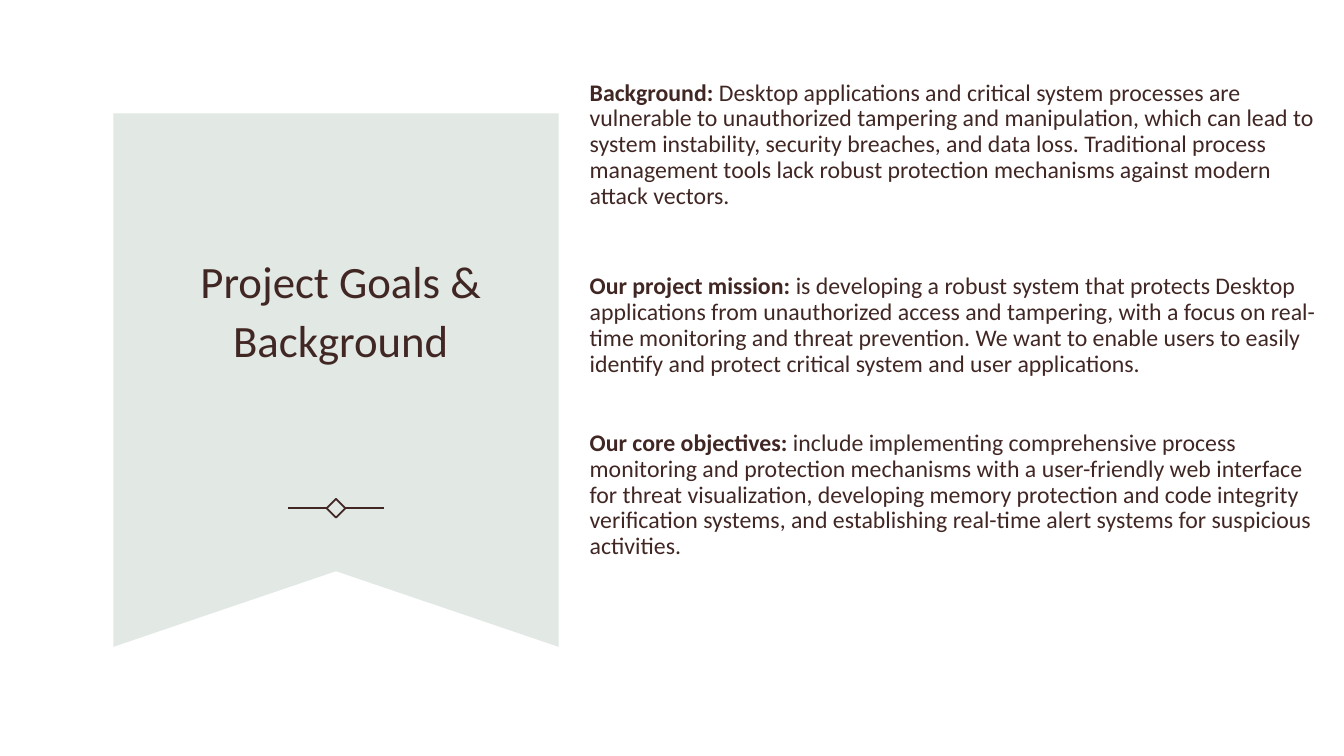
from dataclasses import dataclass

from lxml import etree
from pptx import Presentation
from pptx.dml import color
from pptx.enum import shapes, text
from pptx.oxml import ns
from pptx.util import Pt


@dataclass(frozen=True)
class Theme:
    font: str = "Calibri"
    ink: color.RGBColor = color.RGBColor(0x41, 0x27, 0x24)
    sage: color.RGBColor = color.RGBColor(0xE2, 0xE8, 0xE4)
    paper: color.RGBColor = color.RGBColor(0xFF, 0xFF, 0xFF)
    title_size: float = 32
    body_size: float = 17
    rule_width: float = 1.25


@dataclass(frozen=True)
class Statement:
    label: str
    detail: str
    space_before: float


@dataclass(frozen=True)
class Box:
    left: float
    top: float
    width: float
    height: float


THEME = Theme()
TITLE_BOX = Box(111, 106.5, 265, 226)
BODY_BOX = Box(414, 54, 540, 432)
RIBBON = [(81, 81), (399, 81), (399, 462), (240, 408), (81, 462)]
ORNAMENT_X, ORNAMENT_Y = 240, 363
DIAMOND_SIDE, RULE_GAP, RULE_LENGTH = 9.5, 6.5, 28

STATEMENTS = [
    Statement(
        "Background:",
        " Desktop applications and critical system processes are vulnerable to "
        "unauthorized tampering and manipulation, which can lead to system "
        "instability, security breaches, and data loss. Traditional process "
        "management tools lack robust protection mechanisms against modern "
        "attack vectors.",
        10,
    ),
    Statement(
        "Our project mission:",
        " is developing a robust system that protects Desktop applications from "
        "unauthorized access and tampering, with a focus on real-time monitoring "
        "and threat prevention. We want to enable users to easily identify and "
        "protect critical system and user applications.",
        46.5,
    ),
    Statement(
        "Our core objectives:",
        " include implementing comprehensive process monitoring and protection "
        "mechanisms with a user-friendly web interface for threat visualization, "
        "developing memory protection and code integrity verification systems, "
        "and establishing real-time alert systems for suspicious activities.",
        38.5,
    ),
]


def place(placeholder, box: Box, anchor) -> None:
    """Position a placeholder and bring it in front of the ribbon."""
    placeholder.left, placeholder.top = Pt(box.left), Pt(box.top)
    placeholder.width, placeholder.height = Pt(box.width), Pt(box.height)
    frame = placeholder.text_frame
    frame.word_wrap = True
    frame.auto_size = text.MSO_AUTO_SIZE.NONE
    frame.vertical_anchor = anchor
    tree = placeholder.element.getparent()
    tree.append(placeholder.element)


def add_run(paragraph, words: str, size: float, bold: bool = False) -> None:
    run = paragraph.add_run()
    run.text = words
    run.font.name = THEME.font
    run.font.size = Pt(size)
    run.font.bold = bold
    run.font.color.rgb = THEME.ink


def remove_bullet(paragraph) -> None:
    properties = paragraph._p.get_or_add_pPr()
    properties.set("marL", "0")
    properties.set("indent", "0")
    etree.SubElement(properties, ns.qn("a:buNone"))


def add_statement(paragraph, statement: Statement) -> None:
    paragraph.alignment = text.PP_ALIGN.LEFT
    paragraph.line_spacing = 0.9
    paragraph.space_before = Pt(statement.space_before)
    remove_bullet(paragraph)
    add_run(paragraph, statement.label, THEME.body_size, bold=True)
    add_run(paragraph, statement.detail, THEME.body_size)


def draw_ribbon(slide) -> None:
    start, *others = [(Pt(x), Pt(y)) for x, y in RIBBON]
    outline = slide.shapes.build_freeform(*start)
    outline.add_line_segments(others, close=True)
    ribbon = outline.convert_to_shape()
    ribbon.shadow.inherit = False
    ribbon.fill.solid()
    ribbon.fill.fore_color.rgb = THEME.sage
    ribbon.line.fill.background()


def draw_ornament(slide) -> None:
    # Diamond
    half = DIAMOND_SIDE / 2
    diamond = slide.shapes.add_shape(
        shapes.MSO_SHAPE.RECTANGLE,
        Pt(ORNAMENT_X - half), Pt(ORNAMENT_Y - half),
        Pt(DIAMOND_SIDE), Pt(DIAMOND_SIDE),
    )
    diamond.rotation = 45
    diamond.shadow.inherit = False
    diamond.fill.background()
    strokes = [diamond]
    # Rules on either side
    for side in (-1, 1):
        inner = ORNAMENT_X + side * RULE_GAP
        rule = slide.shapes.add_connector(
            shapes.MSO_CONNECTOR.STRAIGHT,
            Pt(inner), Pt(ORNAMENT_Y),
            Pt(inner + side * RULE_LENGTH), Pt(ORNAMENT_Y),
        )
        etree.SubElement(rule.element.spPr, ns.qn("a:effectLst"))
        strokes.append(rule)
    for stroke in strokes:
        stroke.line.color.rgb = THEME.ink
        stroke.line.width = Pt(THEME.rule_width)


def main() -> None:
    deck = Presentation()
    deck.slide_width, deck.slide_height = Pt(960), Pt(540)
    slide = deck.slides.add_slide(deck.slide_layouts[1])
    slide.background.fill.solid()
    slide.background.fill.fore_color.rgb = THEME.paper

    # Ribbon with its ornament
    draw_ribbon(slide)
    draw_ornament(slide)

    # Title
    heading = slide.shapes.title
    place(heading, TITLE_BOX, text.MSO_ANCHOR.MIDDLE)
    heading_line = heading.text_frame.paragraphs[0]
    heading_line.alignment = text.PP_ALIGN.CENTER
    heading_line.line_spacing = 1.1
    add_run(heading_line, "Project Goals & Background", THEME.title_size)

    # Goals and background
    goals = slide.placeholders[1]
    place(goals, BODY_BOX, text.MSO_ANCHOR.TOP)
    for index, statement in enumerate(STATEMENTS):
        frame = goals.text_frame
        paragraph = frame.add_paragraph() if index else frame.paragraphs[0]
        add_statement(paragraph, statement)

    deck.save("out.pptx")


if __name__ == "__main__":
    main()
